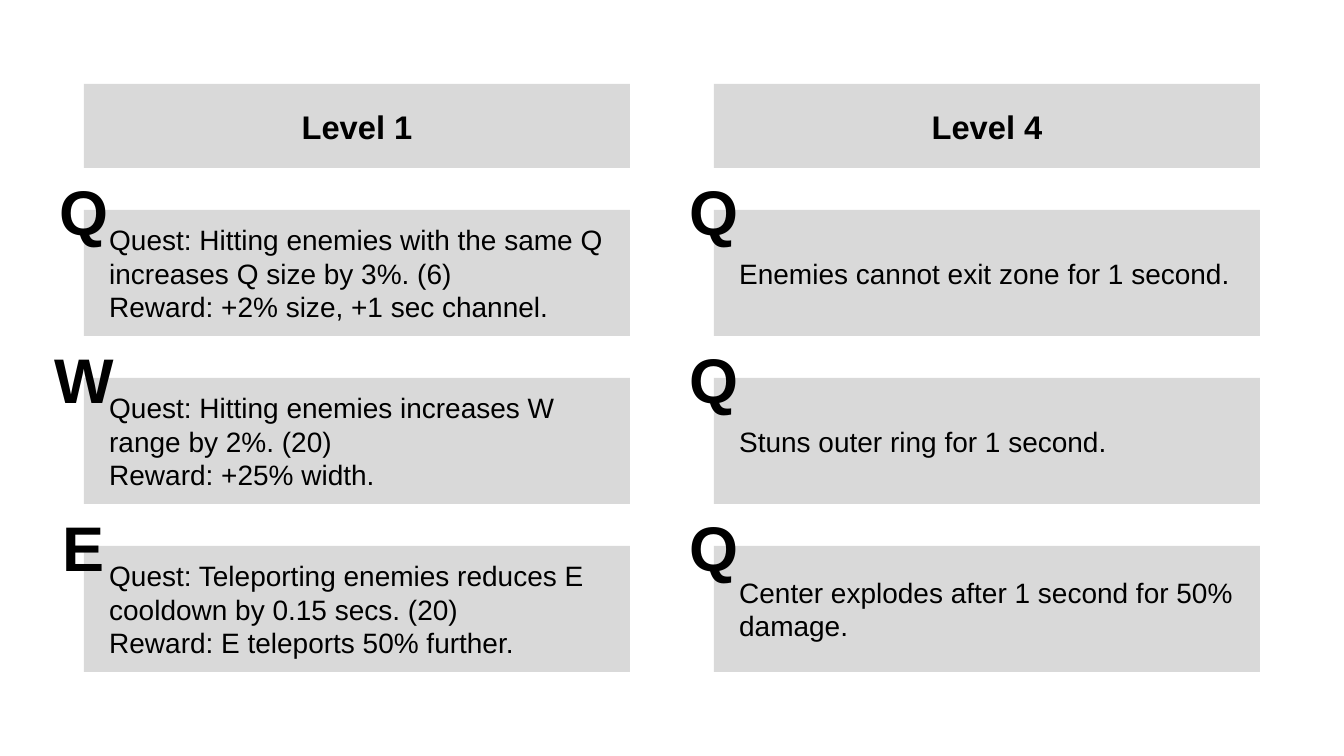
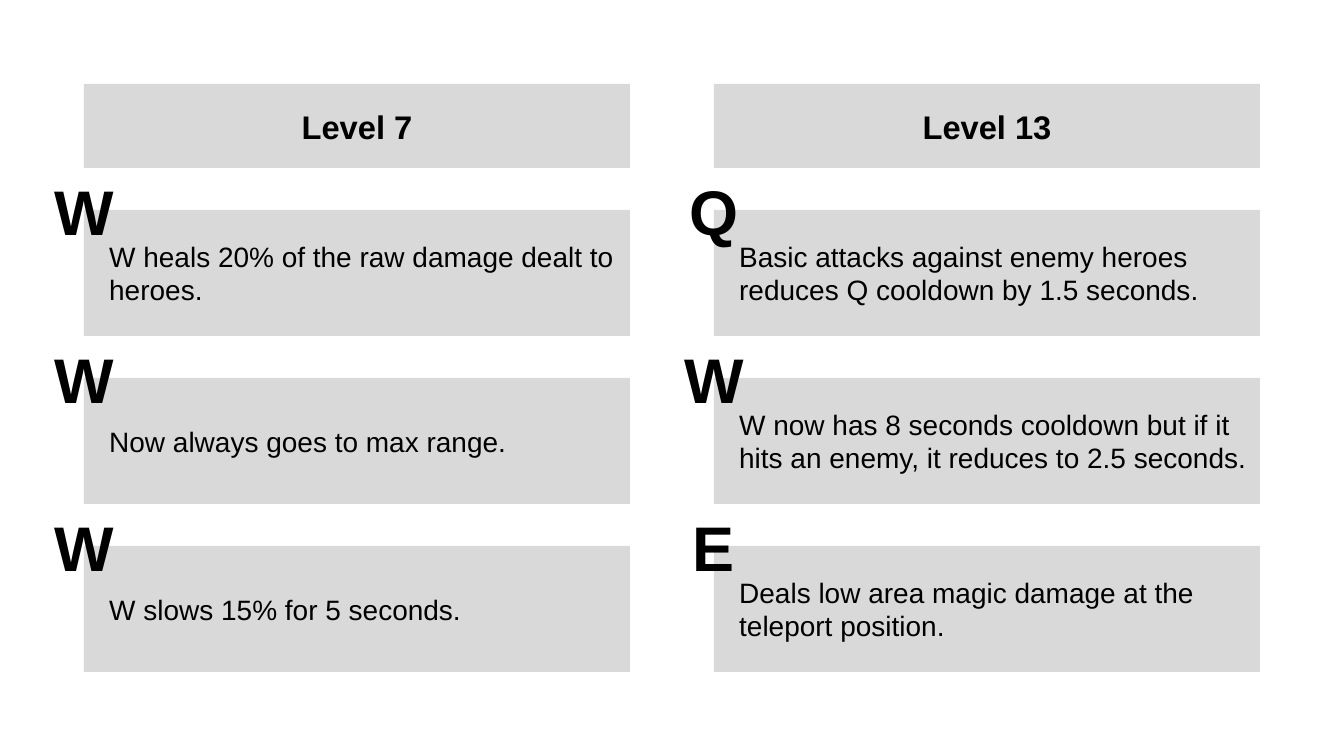
from pptx import Presentation
from pptx.dml.color import RGBColor
from pptx.enum import shapes, text
from pptx.util import Pt

PANEL_GREY = RGBColor(0xD9, 0xD9, 0xD9)
INK = RGBColor(0x00, 0x00, 0x00)
FONT = "Arial"
BLANK_LAYOUT = 6

COLUMN_LEFT, COLUMN_STEP, COLUMN_WIDTH = 72, 540, 468
HEADER_TOP, HEADER_HEIGHT = 72, 72
TALENT_TOP, TALENT_STEP, TALENT_HEIGHT = 180, 144, 108
KEY_SIZE = 72

CENTER, LEFT = text.PP_ALIGN.CENTER, text.PP_ALIGN.LEFT
HEADER_STYLE = {"size": Pt(28), "bold": True}
TALENT_STYLE = {"size": Pt(24), "bold": False}
KEY_STYLE = {"size": Pt(54), "bold": True}

# Each slide holds columns: a level and its talents (key, lines of text).
SLIDES = [
    [
        ("Level 1", [
            ("Q", ["Quest: Hitting enemies with the same Q increases Q size by 3%. (6)",
                   "Reward: +2% size, +1 sec channel."]),
            ("W", ["Quest: Hitting enemies increases W range by 2%. (20)",
                   "Reward: +25% width."]),
            ("E", ["Quest: Teleporting enemies reduces E cooldown by 0.15 secs. (20)",
                   "Reward: E teleports 50% further."]),
        ]),
        ("Level 4", [
            ("Q", ["Enemies cannot exit zone for 1 second."]),
            ("Q", ["Stuns outer ring for 1 second."]),
            ("Q", ["Center explodes after 1 second for 50% damage."]),
        ]),
    ],
    [
        ("Level 7", [
            ("W", ["W heals 20% of the raw damage dealt to heroes."]),
            ("W", ["Now always goes to max range."]),
            ("W", ["W slows 15% for 5 seconds."]),
        ]),
        ("Level 13", [
            ("Q", ["Basic attacks against enemy heroes reduces Q cooldown by 1.5 seconds."]),
            ("W", ["W now has 8 seconds cooldown but if it hits an enemy, "
                   "it reduces to 2.5 seconds."]),
            ("E", ["Deals low area magic damage at the teleport position."]),
        ]),
    ],
]


def write_lines(box, lines, style, align, inset=7.2):
    """Fill a box with one styled paragraph per line, centred vertically."""
    frame = box.text_frame
    frame.word_wrap = True
    frame.vertical_anchor = text.MSO_ANCHOR.MIDDLE
    frame.margin_left = Pt(inset)
    frame.text = "\n".join(lines)
    for para in frame.paragraphs:
        para.alignment = align
        for span in para.runs:
            for name, value in {"name": FONT, **style}.items():
                setattr(span.font, name, value)
            span.font.color.rgb = INK


def add_panel(page, left, top, height):
    """Add a plain grey panel as wide as a column."""
    panel = page.shapes.add_shape(shapes.MSO_SHAPE.RECTANGLE, Pt(left), Pt(top),
                                  Pt(COLUMN_WIDTH), Pt(height))
    panel.shadow.inherit = False
    panel.fill.solid()
    panel.fill.fore_color.rgb = PANEL_GREY
    panel.line.fill.background()
    return panel


def add_header(page, left, level):
    """Add the bold level heading of a column."""
    panel = add_panel(page, left, HEADER_TOP, HEADER_HEIGHT)
    write_lines(panel, [level], HEADER_STYLE, CENTER)


def add_talent(page, left, top, key, lines):
    """Add a talent panel with its key letter centred on the top left corner."""
    panel = add_panel(page, left, top, TALENT_HEIGHT)
    write_lines(panel, lines, TALENT_STYLE, LEFT, inset=21.6)
    letter = page.shapes.add_textbox(Pt(left - KEY_SIZE / 2), Pt(top - KEY_SIZE / 2),
                                     Pt(KEY_SIZE), Pt(KEY_SIZE))
    write_lines(letter, [key], KEY_STYLE, CENTER)


def add_column(page, left, level, talents):
    """Add a level heading and the talents below it."""
    add_header(page, left, level)
    for row, (key, lines) in enumerate(talents):
        add_talent(page, left, TALENT_TOP + row * TALENT_STEP, key, lines)


def main():
    """Build and save the deck."""
    deck = Presentation()
    deck.slide_width, deck.slide_height = Pt(1152), Pt(648)
    for columns in SLIDES:
        page = deck.slides.add_slide(deck.slide_layouts[BLANK_LAYOUT])
        for index, (level, talents) in enumerate(columns):
            add_column(page, COLUMN_LEFT + index * COLUMN_STEP, level, talents)
    deck.save("out.pptx")


main()
